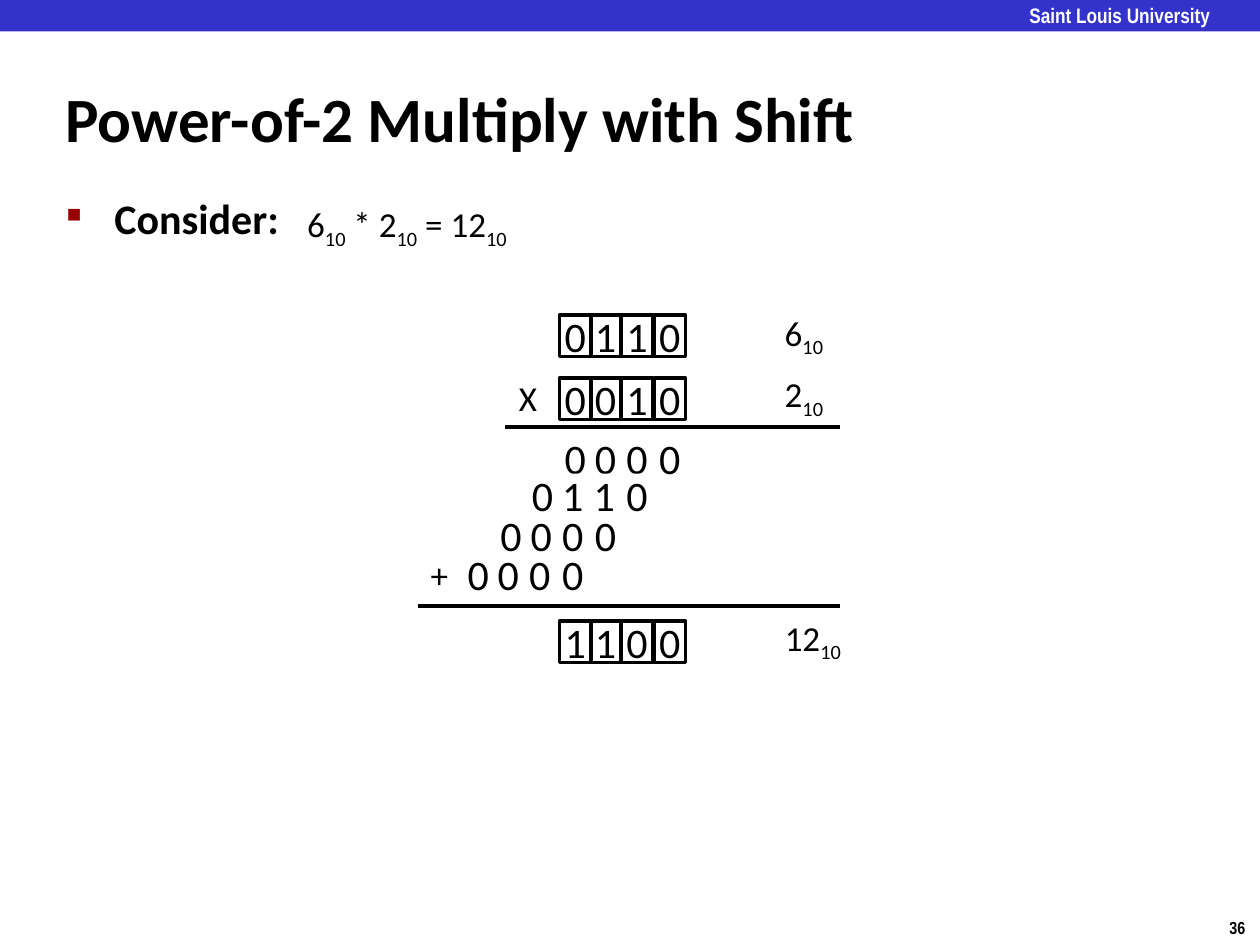
from lxml import etree
from pptx import Presentation
from pptx.dml.color import RGBColor
from pptx.enum.shapes import MSO_CONNECTOR, MSO_SHAPE
from pptx.enum.text import MSO_ANCHOR as ANCHOR, MSO_AUTO_SIZE as AUTO_SIZE, PP_ALIGN as ALIGN
from pptx.oxml.ns import qn
from pptx.util import Inches, Pt

COLORS = {"bar": "3333CC", "bullet": "990000", "ink": "000000", "paper": "FFFFFF"}
RGB = {name: RGBColor.from_string(value) for name, value in COLORS.items()}


def set_text(shape, pieces, size, font="Calibri", bold=False, color="ink"):
    """Fill the first paragraph; every second piece is a subscript."""
    paragraph = shape.text_frame.paragraphs[0]
    for index, piece in enumerate(pieces):
        run = paragraph.add_run()
        run.text = piece
        if index % 2:
            run.font._element.set("baseline", "-25000")
    paragraph.font.name = font
    paragraph.font.size = Pt(size)
    paragraph.font.bold = bold
    paragraph.font.color.rgb = RGB[color]
    return paragraph


def add_label(shapes, left, top, width, height, pieces, size, **style):
    """Add a one-line text box that fits its text."""
    box = shapes.add_textbox(Inches(left), Inches(top), Inches(width), Inches(height))
    box.text_frame.word_wrap = False
    box.text_frame.auto_size = AUTO_SIZE.SHAPE_TO_FIT_TEXT
    set_text(box, pieces, size, **style)


presentation = Presentation()
presentation.slide_width = Inches(10)
presentation.slide_height = Inches(7.5)
slide = presentation.slides.add_slide(presentation.slide_layouts[6])

# Page number and header bar
add_label(slide.shapes, 9.66, 7.23, 0.34, 0.27, ["36"], 10, font="Arial Narrow", bold=True)
bar = slide.shapes.add_shape(MSO_SHAPE.RECTANGLE, 0, 0, Inches(10), Inches(0.25))
bar.shadow.inherit = False
bar.fill.solid()
bar.fill.fore_color.rgb = RGB["bar"]
bar.line.fill.background()
header = slide.shapes.add_textbox(Inches(8.17), Inches(0.02), Inches(1.67), Inches(0.19))
frame = header.text_frame
frame.margin_left = frame.margin_right = frame.margin_top = frame.margin_bottom = 0
frame.word_wrap = True
set_text(header, ["Saint Louis University"], 12, font="Arial Narrow", bold=True, color="paper")

# Title and bullet
title = slide.shapes.add_textbox(Inches(0.42), Inches(0.62), Inches(8.09), Inches(0.63))
title.text_frame.word_wrap = True
title.text_frame.vertical_anchor = ANCHOR.MIDDLE
set_text(title, ["Power-of-2 Multiply with Shift"], 36, bold=True)

body = slide.shapes.add_textbox(Inches(0.43), Inches(1.48), Inches(8.64), Inches(5.44))
body.text_frame.word_wrap = True
properties = body.text_frame.paragraphs[0]._p.get_or_add_pPr()
properties.set("marL", str(Inches(0.38)))
properties.set("indent", str(-Inches(0.38)))
bullet_color = etree.SubElement(properties, qn("a:buClr"))
etree.SubElement(bullet_color, qn("a:srgbClr"), val=COLORS["bullet"])
etree.SubElement(properties, qn("a:buSzPct"), val="48000")
etree.SubElement(properties, qn("a:buChar"), char="■")
set_text(body, ["Consider:"], 24, bold=True)
add_label(slide.shapes, 2.34, 1.56, 1.87, 0.44, ["6", "10", " * 2", "10", " = 12", "10"], 20)

# Binary rows: left, top, digits, boxed, decimal value with its top and width
DIGIT_WIDTH, DIGIT_HEIGHT = 0.25, 0.33
DIGIT_OFFSETS = [0, 0.24, 0.49, 0.75]
DRAWING_ORDER = [1, 2, 3, 0]  # the leading digit lies on top of its neighbour
rows = [
    (4.44, 2.5, "0110", True, ("6", 2.42, 0.53)),
    (4.44, 3, "0010", True, ("2", 2.91, 0.53)),
    (4.44, 3.47, "0000", False, None),
    (3.93, 4.08, "0000", False, None),
    (4.18, 3.76, "0110", False, None),
    (3.67, 4.39, "0000", False, None),
    (4.44, 4.93, "1100", True, ("12", 4.84, 0.68)),
]
for left, top, digits, boxed, decimal in rows:
    group = slide.shapes.add_group_shape()
    for column in DRAWING_ORDER:
        cell = group.shapes.add_shape(
            MSO_SHAPE.RECTANGLE, Inches(left + DIGIT_OFFSETS[column]), Inches(top),
            Inches(DIGIT_WIDTH), Inches(DIGIT_HEIGHT))
        cell.shadow.inherit = False
        cell.fill.solid()
        cell.fill.fore_color.rgb = RGB["paper"]
        if boxed:
            cell.line.color.rgb = RGB["ink"]
            cell.line.width = Pt(2)
        else:
            cell.line.fill.background()
        cell.text_frame.word_wrap = False
        cell.text_frame.vertical_anchor = ANCHOR.MIDDLE
        set_text(cell, [digits[column]], 24).alignment = ALIGN.CENTER
    if decimal:
        value, value_top, value_width = decimal
        add_label(group.shapes, 6.13, value_top, value_width, 0.44, [value, "10"], 20)

# Operators, and the rules above the partial products and the result
for left, top, operator in [(4.02, 2.94, "X"), (3.32, 4.34, "+")]:
    add_label(slide.shapes, left, top, 0.35, 0.44, [operator], 20)
for left, top in [(4.01, 3.39), (3.32, 4.81)]:
    rule = slide.shapes.add_connector(
        MSO_CONNECTOR.STRAIGHT, Inches(left), Inches(top), Inches(6.67), Inches(top))
    rule.line.color.rgb = RGB["ink"]
    rule.line.width = Pt(2)
    etree.SubElement(rule._element.spPr, qn("a:effectLst"))

presentation.save("out.pptx")
